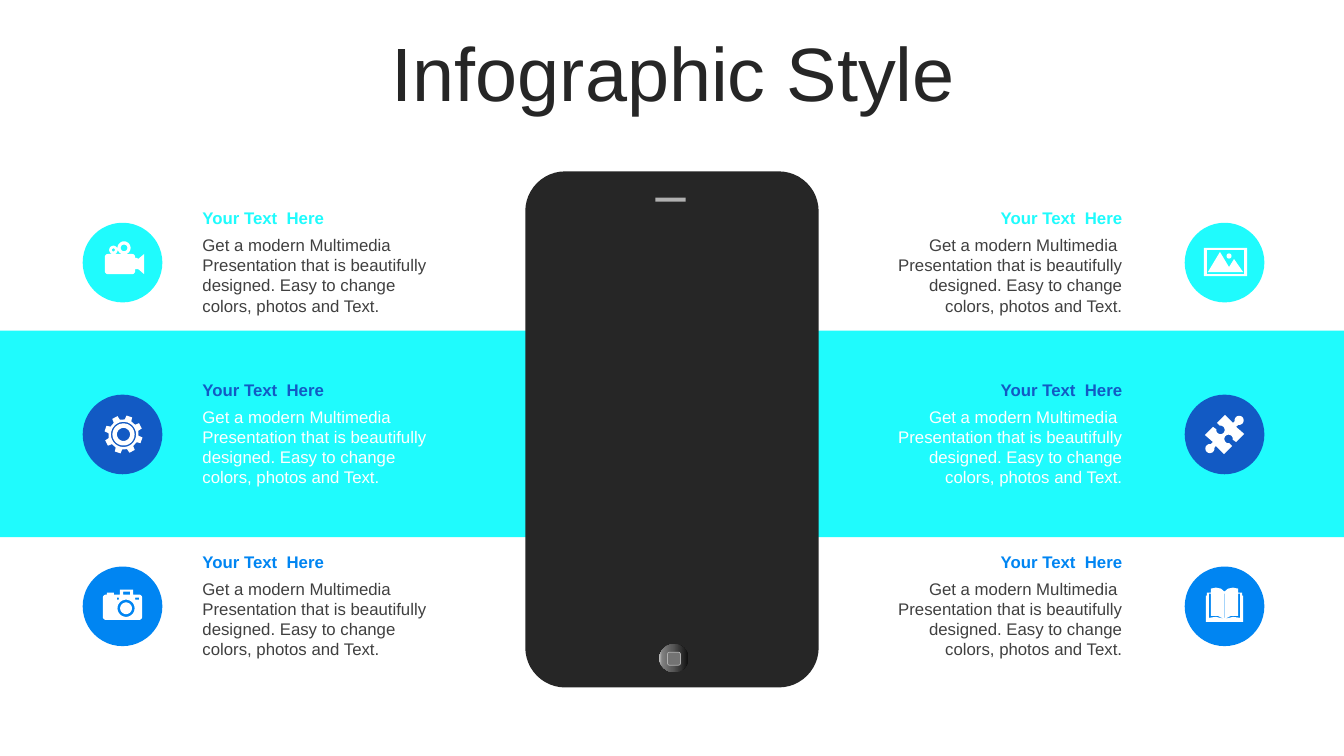
from math import cos, radians, sin

from lxml import etree
from pptx import Presentation
from pptx import util as u
from pptx.dml.color import RGBColor
from pptx.enum import shapes as es, text as et
from pptx.oxml.ns import qn

CYAN, NAVY, BLUE = "1FFBFD", "125AC4", "0085F2"
DARK, GREY, WHITE = "262626", "404040", "FFFFFF"
HEAD = "Your Text  Here"
BODY = ("Get a modern Multimedia  Presentation that is beautifully designed. "
        "Easy to change colors, photos and Text.")
KIND = es.MSO_SHAPE
DISC = 0.79


def rgb(hue):
    return RGBColor.from_string(hue)


def paint(item, hue):
    item.shadow.inherit = False
    item.fill.solid()
    item.fill.fore_color.rgb = rgb(hue)
    item.line.fill.background()
    return item


def shape(slide, kind, box, hue):
    return paint(slide.shapes.add_shape(kind, *map(u.Inches, box)), hue)


def style(para, size, hue, bold=False):
    para.font.name, para.font.size = "Arial", u.Pt(size)
    para.font.color.rgb, para.font.bold = rgb(hue), bold


# Icon outlines: hundredths of an inch from the corner of the disc
def arc(x, y, r, start, end):
    steps = max(4, int(abs(end - start) / 12))
    turns = [radians(start + (end - start) * i / steps) for i in range(steps + 1)]
    return [(x + r * cos(t), y + r * sin(t)) for t in turns]


def ring(x, y, r):
    return arc(x, y, r, 0, 360)


def rect(x, y, right, low):
    return [(x, y), (right, y), (right, low), (x, low)]


def flip(pts):
    return [(79 - x, y) for x, y in pts]


def video():
    edge = (arc(25, 34, 3, 180, 270) + arc(30.5, 27, 4.2, 110, 430)
            + arc(41, 25, 6.5, 110, 430) + arc(49, 34, 3, 270, 360)
            + [(52, 35), (54, 35), (55, 36), (61, 31), (61, 51), (55, 46), (52, 46)]
            + arc(49, 48, 3, 0, 90) + arc(25, 48, 3, 90, 180))
    return [edge, ring(30.5, 27, 1.5), ring(41, 25, 3.3)]


def gear():
    x, y = 40.5, 39.5
    edge = []
    for mid in range(18, 378, 45):
        for turn, r in ((-13, 15), (-9, 19), (9, 19), (13, 15)):
            edge += [(x + r * cos(radians(mid + turn)), y + r * sin(radians(mid + turn)))]
    return [edge] + [ring(x, y, r) for r in (12.5, 11, 6.5)]


def camera():
    edge = (arc(23, 31, 3, 180, 270)
            + [(24, 28), (24, 26), (31, 26), (31, 28), (37, 28), (37, 23), (50, 23), (50, 28)]
            + arc(56, 31, 3, 270, 360) + arc(56, 50, 3, 0, 90) + arc(23, 50, 3, 90, 180))
    return [edge, rect(40, 25, 47, 28), rect(34, 31, 36, 33), rect(52, 31, 56, 33),
            ring(43, 41.5, 8.5), ring(43, 41.5, 5.8)]


def photo():
    hills = [(35, 29), (44, 44), (49, 36), (58, 49), (23, 49)]
    return [rect(19, 25, 62, 53), rect(22, 27, 59, 51), hills, ring(44, 33, 2.5)]


def puzzle():
    half = ([(20, 40), (28, 32)] + arc(35.5, 35, 4.2, 190, -100)
            + [(32, 28), (40, 20), (48, 28)] + arc(54, 25.5, 4.5, 170, 460) + [(51, 32)])
    return [half + [(79 - x, 79 - y) for x, y in half]]


def book():
    half = [(21, 55), (21, 29), (22, 29), (22, 26), (26, 26), (26, 22),
            (31, 21), (36, 22), (39.5, 25)]
    page = [(26, 27), (24, 27), (24, 51), (31, 50), (39, 52), (33, 49), (26, 49)]
    return [half + flip(half)[::-1], page, flip(page), rect(39.3, 27, 39.7, 51)]


def icon(slide, paths, left, top):
    fine = [[(x * 10, y * 10) for x, y in pts] for pts in paths]
    pen = slide.shapes.build_freeform(*fine[0][0], scale=914.4)
    for i, pts in enumerate(fine):
        if i:
            pen.move_to(*pts[0])
        pen.add_line_segments(pts[1:], close=True)
    paint(pen.convert_to_shape(u.Inches(left), u.Inches(top)), WHITE)


# Title
def title(slide, box):
    head = slide.shapes.title
    head.left, head.top, head.width, head.height = map(u.Inches, box)
    frame = head.text_frame
    frame.text = "Infographic Style"
    frame.vertical_anchor = et.MSO_ANCHOR.MIDDLE
    para = frame.paragraphs[0]
    para.alignment, para.line_spacing = et.PP_ALIGN.CENTER, 0.9
    style(para, 54, DARK)


# Phone
def phone(slide, left, top):
    body = shape(slide, KIND.ROUNDED_RECTANGLE, (left, top, 2.91, 5.12), DARK)
    body.adjustments[0] = 0.136
    shape(slide, KIND.RECTANGLE, (left + 1.29, top + 0.26, 0.3, 0.04), "B0B0B0")
    knob = shape(slide, KIND.OVAL, (left + 1.33, top + 4.69, 0.29, 0.28), DARK)
    knob.fill.gradient()
    knob.fill.gradient_angle = 180
    stops = knob.fill._fill._gradFill.find(qn("a:gsLst"))
    for stop in list(stops):
        stops.remove(stop)
    for pos, hue in ((0, "0F0F0F"), (56, "595959"), (91, "808080"), (100, "BFBFBF")):
        stop = etree.SubElement(stops, qn("a:gs"), pos=str(pos * 1000))
        etree.SubElement(stop, qn("a:srgbClr"), val=hue)
    key = shape(slide, KIND.ROUNDED_RECTANGLE, (left + 1.41, top + 4.77, 0.13, 0.13), "737373")
    key.line.color.rgb, key.line.width = rgb("B0B0B0"), u.Pt(0.5)


# One feature: disc with icon, heading and text
def label(slide, box, words, hue, align, bold=False):
    frame = slide.shapes.add_textbox(*map(u.Inches, box)).text_frame
    frame.word_wrap = True
    frame.text = words
    frame.paragraphs[0].alignment = align
    style(frame.paragraphs[0], 12, hue, bold)


def feature(slide, disc, left, top, hue, ink, align, paths):
    shape(slide, KIND.OVAL, (disc, top, DISC, DISC), hue)
    icon(slide, paths, disc, top)
    label(slide, (left, top - 0.2, 2.64, 0.3), HEAD, hue, align, True)
    label(slide, (left, top + 0.07, 2.64, 0.91), BODY, ink, align)


def column(slide, disc, left, align, icons):
    rows = zip(icons, (CYAN, NAVY, BLUE), (GREY, WHITE, GREY))
    for i, (draw, hue, ink) in enumerate(rows):
        feature(slide, disc, left, 2.21 + 1.705 * i, hue, ink, align, draw())


def main():
    deck = Presentation()
    deck.slide_width, deck.slide_height = u.Inches(13.33), u.Inches(7.5)
    slide = deck.slides.add_slide(deck.slide_layouts[5])
    shape(slide, KIND.RECTANGLE, (0, 3.28, 13.33, 2.05), CYAN)
    phone(slide, 5.21, 1.7)
    column(slide, 0.82, 1.91, et.PP_ALIGN.LEFT, (video, gear, camera))
    column(slide, 11.75, 8.59, et.PP_ALIGN.RIGHT, (photo, puzzle, book))
    title(slide, (0.35, 0.37, 12.66, 0.79))
    deck.save("out.pptx")


if __name__ == "__main__":
    main()
